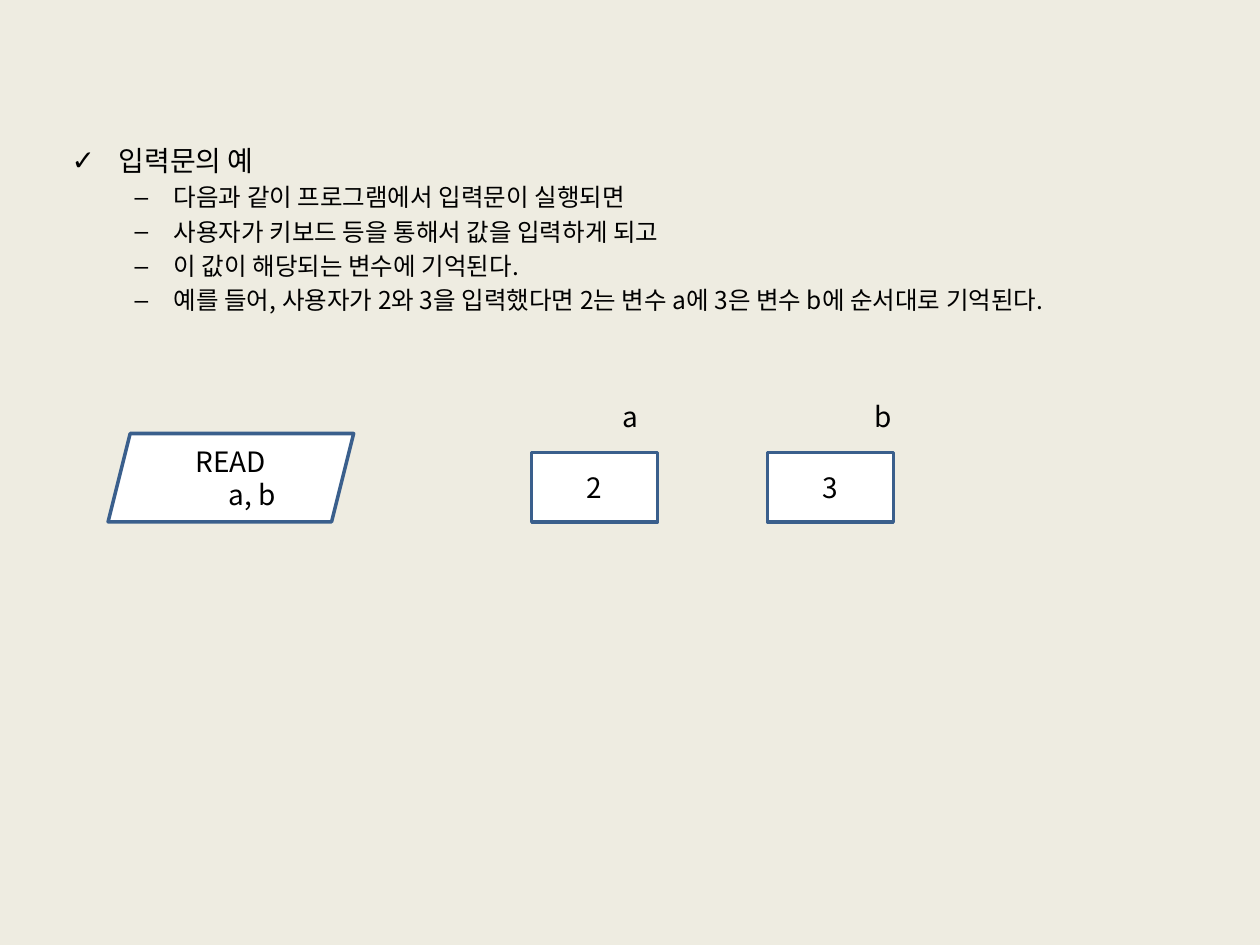
import pptx
import pptx.util
import pptx.dml.color
import pptx.enum.shapes
import pptx.enum.text
import pptx.oxml.ns
import lxml.etree

Cm, Pt = pptx.util.Cm, pptx.util.Pt
SHAPE = pptx.enum.shapes.MSO_SHAPE
MIDDLE = pptx.enum.text.MSO_ANCHOR.MIDDLE
FONT = "Noto Sans CJK KR"
COLORS = {"background": "EEECE1", "box": "FFFFFF", "outline": "3A5F8C", "text": "000000"}


def rgb(name):
    return pptx.dml.color.RGBColor.from_string(COLORS[name])


def add_element(parent, tag, **attrs):
    el = lxml.etree.SubElement(parent, pptx.oxml.ns.qn(tag))
    for key, value in attrs.items():
        el.set(key, str(value))


def add_run(p, text, size=16):
    r = p.add_run()
    r.text = text
    r.font.size = Pt(size)
    r.font.name = FONT
    r.font.color.rgb = rgb("text")
    add_element(r._r.get_or_add_rPr(), "a:ea", typeface=FONT)


def next_paragraph(tf):
    """Return the unused first paragraph, or a new one."""
    first = tf.paragraphs[0]
    return tf.add_paragraph() if first.runs else first


def set_indent(p, left, hanging=0):
    pPr = p._p.get_or_add_pPr()
    pPr.set("marL", str(Cm(left)))
    pPr.set("indent", str(-Cm(hanging)))
    return pPr


def add_bullet(tf, text, char, size, level, left, hanging):
    p = next_paragraph(tf)
    p.level = level
    p.space_before = Pt(size * 0.2)
    add_element(set_indent(p, left, hanging), "a:buChar", char=char)
    add_run(p, text, size)


def add_label(slide, left, top, text):
    sp = slide.shapes.add_textbox(Cm(left), Cm(top), Cm(1), Cm(0.8))
    tf = sp.text_frame
    tf.word_wrap = True
    tf.vertical_anchor = MIDDLE
    tf.margin_left = tf.margin_right = tf.margin_top = tf.margin_bottom = 0
    add_run(tf.paragraphs[0], text)


def add_box(slide, kind, left, top, width, height, lines):
    """Draw an outlined box; each line is a text and its left indent."""
    sp = slide.shapes.add_shape(kind, Cm(left), Cm(top), Cm(width), Cm(height))
    sp.shadow.inherit = False
    sp.fill.solid()
    sp.fill.fore_color.rgb = rgb("box")
    sp.line.color.rgb = rgb("outline")
    sp.line.width = Pt(2)
    tf = sp.text_frame
    tf.vertical_anchor = MIDDLE
    for text, indent in lines:
        p = next_paragraph(tf)
        p.alignment = pptx.enum.text.PP_ALIGN.CENTER
        set_indent(p, indent)
        add_run(p, text)


def main():
    prs = pptx.Presentation()
    prs.slide_width, prs.slide_height = Cm(25.4), Cm(19.05)
    slide = prs.slides.add_slide(prs.slide_layouts[1])
    slide.background.fill.solid()
    slide.background.fill.fore_color.rgb = rgb("background")
    title = slide.shapes.title
    title.element.getparent().remove(title.element)

    # Explanation list
    body = slide.placeholders[1]
    body.left, body.top, body.width, body.height = Cm(1.19), Cm(2.77), Cm(22.86), Cm(14.48)
    tf = body.text_frame
    add_bullet(tf, "입력문의 예", "✓", 16, 0, 0.95, 0.95)
    for text in (
        "다음과 같이 프로그램에서 입력문이 실행되면",
        "사용자가 키보드 등을 통해서 값을 입력하게 되고",
        "이 값이 해당되는 변수에 기억된다.",
        "예를 들어, 사용자가 2와 3을 입력했다면 2는 변수 a에 3은 변수 b에 순서대로 기억된다.",
    ):
        add_bullet(tf, text, "–", 14, 1, 2.06, 0.79)

    # Input statement
    add_box(slide, SHAPE.PARALLELOGRAM, 2.18, 8.74, 4.95, 1.78, [("READ", 0), ("a, b", 0.85)])

    # Variables: name above, stored value in the box
    for i, (name, value) in enumerate((("a", "2"), ("b", "3"))):
        add_label(slide, 12.54 + 5.08 * i, 7.99, name)
        add_box(slide, SHAPE.RECTANGLE, 10.72 + 4.75 * i, 9.12, 2.54, 1.4, [(value, 0)])

    prs.save("out.pptx")


main()
